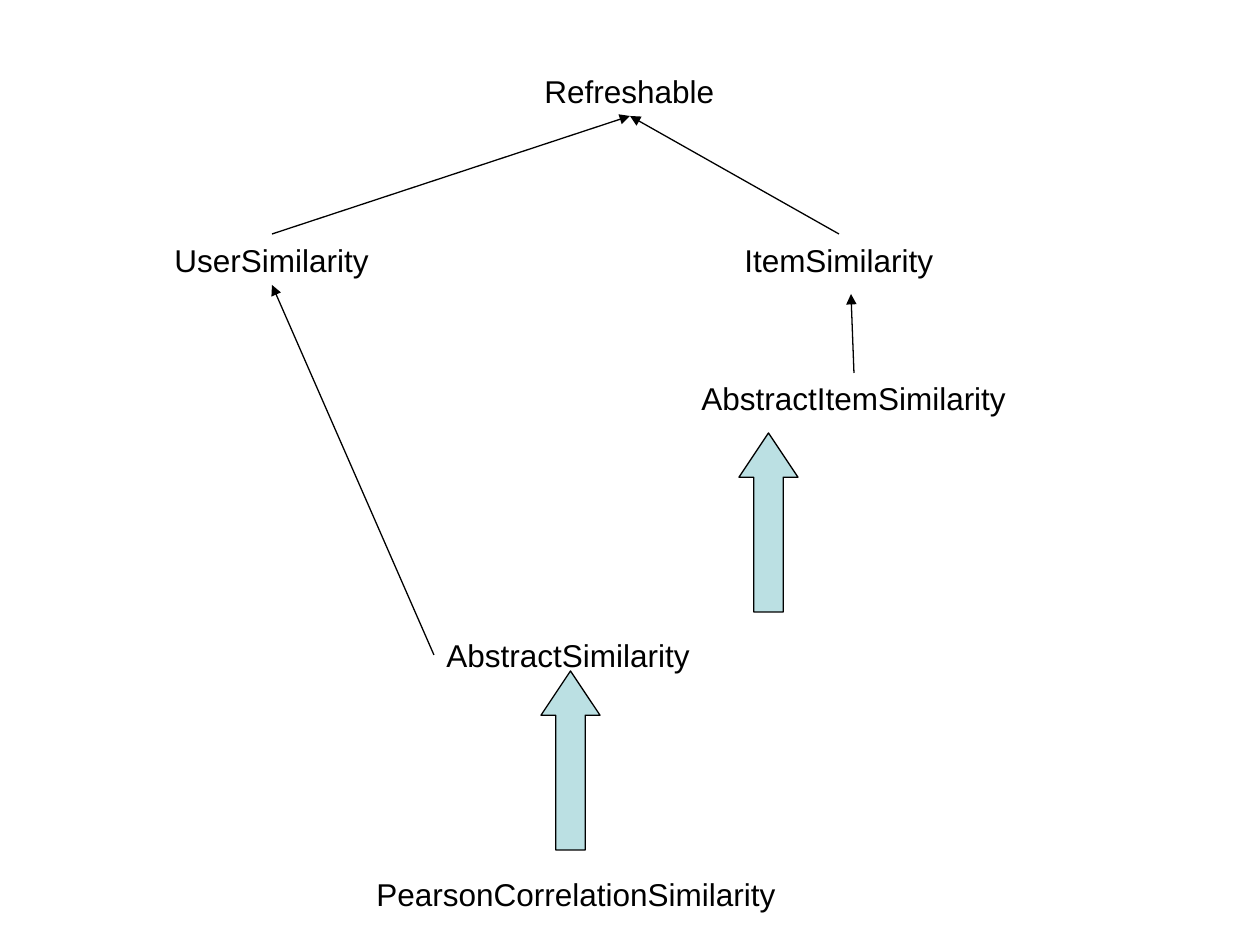
from typing import NamedTuple

from lxml.etree import SubElement
from pptx import Presentation
from pptx.dml.color import RGBColor
from pptx.enum.shapes import MSO_CONNECTOR, MSO_SHAPE
from pptx.enum.text import MSO_AUTO_SIZE
from pptx.oxml.ns import qn
from pptx.slide import Slide
from pptx.util import Emu, Pt

PX_PER_INCH = 126
BLACK = RGBColor(0x00, 0x00, 0x00)
PALE_TEAL = RGBColor(0xBB, 0xE0, 0xE3)
LINE_WIDTH = Pt(0.75)
LABEL_HEIGHT = 50
BLOCK_ARROW_WIDTH = 59
BLOCK_ARROW_HEIGHT = 179


class TypeLabel(NamedTuple):
    name: str
    left: int
    top: int
    width: int


class Inheritance(NamedTuple):
    child_x: int
    child_y: int
    parent_x: int
    parent_y: int


class BlockArrow(NamedTuple):
    left: int
    top: int


LABELS = [
    TypeLabel("Refreshable", 532, 66, 198),
    TypeLabel("UserSimilarity", 162, 235, 222),
    TypeLabel("ItemSimilarity", 732, 235, 217),
    TypeLabel("AbstractSimilarity", 434, 630, 271),
    TypeLabel("AbstractItemSimilarity", 689, 373, 333),
    TypeLabel("PearsonCorrelationSimilarity", 364, 869, 428),
]
INHERITANCES = [
    Inheritance(272, 234, 630, 116),
    Inheritance(839, 234, 630, 116),
    Inheritance(854, 373, 851, 294),
    Inheritance(434, 655, 272, 285),
]
BLOCK_ARROWS = [BlockArrow(739, 433), BlockArrow(541, 671)]


def px(length: int) -> Emu:
    return Emu(round(length * 914400 / PX_PER_INCH))


def add_label(page: Slide, label: TypeLabel) -> None:
    box = page.shapes.add_textbox(
        px(label.left), px(label.top), px(label.width), px(LABEL_HEIGHT)
    )
    frame = box.text_frame
    frame.word_wrap = False
    frame.auto_size = MSO_AUTO_SIZE.SHAPE_TO_FIT_TEXT
    frame.text = label.name
    font = frame.paragraphs[0].runs[0].font
    font.name = "Arial"
    font.size = Pt(18)
    font.color.rgb = BLACK


def add_inheritance(page: Slide, link: Inheritance) -> None:
    """Draw a thin line with its arrowhead at the parent type."""
    connector = page.shapes.add_connector(
        MSO_CONNECTOR.STRAIGHT, *(px(length) for length in link)
    )
    connector.line.color.rgb = BLACK
    connector.line.width = LINE_WIDTH
    SubElement(connector.line._get_or_add_ln(), qn("a:tailEnd"), type="triangle")
    SubElement(connector._element.spPr, qn("a:effectLst"))


def add_block_arrow(page: Slide, arrow: BlockArrow) -> None:
    shape = page.shapes.add_shape(
        MSO_SHAPE.UP_ARROW,
        px(arrow.left),
        px(arrow.top),
        px(BLOCK_ARROW_WIDTH),
        px(BLOCK_ARROW_HEIGHT),
    )
    shape.adjustments[0] = 0.5
    shape.adjustments[1] = 0.75
    shape.shadow.inherit = False
    shape.fill.solid()
    shape.fill.fore_color.rgb = PALE_TEAL
    shape.line.color.rgb = BLACK
    shape.line.width = LINE_WIDTH


def main() -> None:
    deck = Presentation()
    deck.slide_width = px(1260)
    deck.slide_height = px(945)
    page = deck.slides.add_slide(deck.slide_layouts[6])
    for label in LABELS:
        add_label(page, label)
    for link in INHERITANCES:
        add_inheritance(page, link)
    for arrow in BLOCK_ARROWS:
        add_block_arrow(page, arrow)
    deck.save("out.pptx")


if __name__ == "__main__":
    main()
